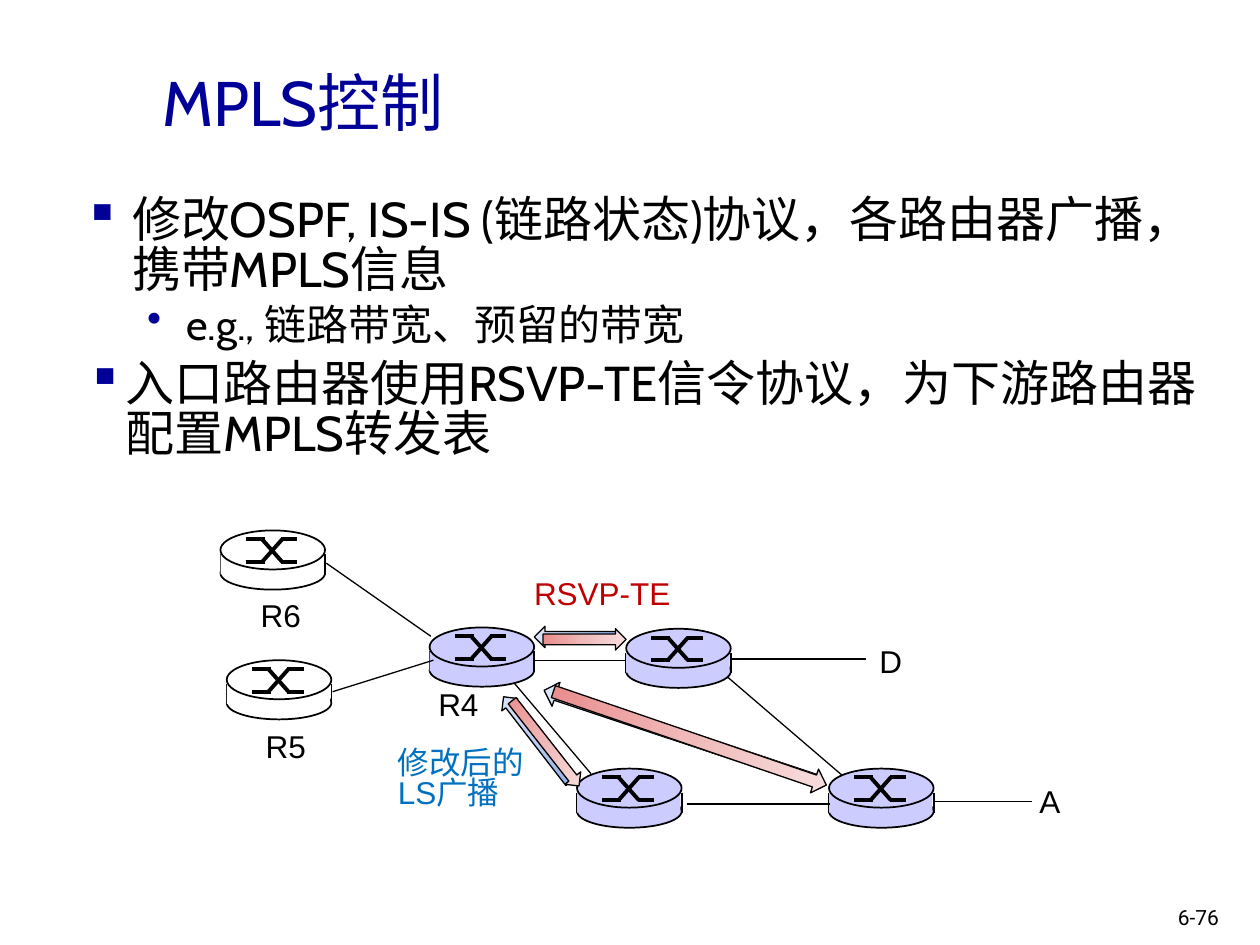
from copy import deepcopy

from pptx import Presentation
from pptx.dml.color import RGBColor
from pptx.enum.shapes import MSO_CONNECTOR, MSO_SHAPE
from pptx.enum.text import MSO_ANCHOR, MSO_AUTO_SIZE
from pptx.oxml.ns import qn
from pptx.util import Inches, Pt
from lxml import etree

STRAIGHT = MSO_CONNECTOR.STRAIGHT
OVAL, RECT, ARROW = MSO_SHAPE.OVAL, MSO_SHAPE.RECTANGLE, MSO_SHAPE.RIGHT_ARROW
TOP, MIDDLE = MSO_ANCHOR.TOP, MSO_ANCHOR.MIDDLE
FIT_SHAPE = MSO_AUTO_SIZE.SHAPE_TO_FIT_TEXT

NAVY, BLACK, WHITE, LILAC = "000099", "000000", "FFFFFF", "CCCCFF"
BLUE_FADE = ("8CADEA", "BACCF0", "DEE6F7")
RED_FADE = ("EA8C8C", "F0BABA", "F7DEDE")

ROUTERS = [  # left, top, colour
    (6.58, 6.1, LILAC), (4.58, 6.1, LILAC), (4.97, 4.99, LILAC),
    (3.41, 4.98, LILAC), (1.75, 4.21, WHITE), (1.8, 5.24, WHITE),
]
CROSS_LEFT, CROSS_RIGHT = (0.2, 0.35), (0.48, 0.61)
CROSS_MIDDLE = (0.33, 0.49)
CROSS_TOP, CROSS_BOTTOM = 0.07, 0.25
LINKS = [
    (2.59, 4.47, 3.42, 5.05), (2.64, 5.49, 3.44, 5.24),
    (4.24, 5.24, 4.97, 5.24), (4.08, 5.42, 4.69, 6.14),
    (5.45, 6.38, 6.59, 6.38), (5.77, 5.37, 6.68, 6.15),
    (7.42, 6.36, 8.19, 6.36), (5.81, 5.23, 6.87, 5.23),
]
NODE_LABELS = [
    ("D", 6.88, 5.05, 0.38), ("R4", 3.38, 5.39, 0.52), ("R5", 2.01, 5.72, 0.52),
    ("A", 8.15, 6.16, 0.37), ("R6", 1.97, 4.68, 0.52),
]
BROADCAST_ARROWS = [  # left, top, width, height, rotation
    (4.24, 4.97, 0.66, 0.17, 180), (3.83, 5.79, 0.86, 0.16, 232.3),
    (4.26, 5.74, 2.29, 0.2, 198.4),
]
RSVP_ARROWS = [
    (4.31, 4.99, 0.66, 0.17, 0), (3.9, 5.82, 0.86, 0.16, 51.9),
    (4.33, 5.76, 2.29, 0.2, 18.9),
]


def rgb(hex_colour):
    return RGBColor.from_string(hex_colour)


def add_line(shapes, x1, y1, x2, y2, weight):
    line = shapes.add_connector(STRAIGHT, *map(Inches, (x1, y1, x2, y2)))
    line.line.color.rgb = rgb(BLACK)
    line.line.width = Pt(weight)
    etree.SubElement(line._element.spPr, qn("a:effectLst"))


def add_solid(shapes, preset, box, colour, outlined=True):
    solid = shapes.add_shape(preset, *map(Inches, box))
    solid.shadow.inherit = False
    solid.fill.solid()
    solid.fill.fore_color.rgb = rgb(colour)
    if outlined:
        solid.line.color.rgb = rgb(BLACK)
        solid.line.width = Pt(1)
    else:
        solid.line.fill.background()


def add_router(slide, left, top, colour):
    """A flat cylinder with two crossing paths on its lid."""
    parts = slide.shapes.add_group_shape().shapes
    add_solid(parts, OVAL, (left, top + 0.21, 0.83, 0.26), colour)
    for side in (left, left + 0.83):
        add_line(parts, side, top + 0.19, side, top + 0.35, 1)
    add_solid(parts, RECT, (left, top + 0.19, 0.82, 0.16), colour, outlined=False)
    add_solid(parts, OVAL, (left, top, 0.83, 0.31), colour)
    for start, end in ((CROSS_TOP, CROSS_BOTTOM), (CROSS_BOTTOM, CROSS_TOP)):
        strokes = ((CROSS_LEFT, start, start), (CROSS_MIDDLE, start, end),
                   (CROSS_RIGHT, end, end))
        for (x1, x2), y1, y2 in strokes:
            add_line(parts, left + x1, top + y1, left + x2, top + y2, 2.25)


def add_signal_arrow(shapes, left, top, width, height, rotation, fade):
    arrow = shapes.add_shape(ARROW, *map(Inches, (left, top, width, height)))
    arrow.shadow.inherit = False
    arrow.rotation = rotation
    arrow.line.color.rgb = rgb(BLACK)
    arrow.line.width = Pt(0.75)
    arrow.fill.gradient()
    arrow.fill.gradient_angle = 0
    first_stop = arrow._element.spPr.find(".//" + qn("a:gs"))
    first_stop.addnext(deepcopy(first_stop))
    for stop, position, colour in zip(arrow.fill.gradient_stops, (0, 0.5, 1), fade):
        stop.position = position
        stop.color.rgb = rgb(colour)


def add_text_box(shapes, box, wrap=True, anchor=TOP):
    frame = shapes.add_textbox(*map(Inches, box)).text_frame
    settings = {"word_wrap": wrap, "vertical_anchor": anchor}
    if not wrap:
        settings["auto_size"] = FIT_SHAPE
    for name, value in settings.items():
        setattr(frame, name, value)
    return frame


def write(paragraph, text, size, font, colour, **spacing):
    for name, value in spacing.items():
        setattr(paragraph, name, value)
    run = paragraph.add_run()
    run.text = text
    for name, value in {"size": Pt(size), "name": font}.items():
        setattr(run.font, name, value)
    run.font.color.rgb = rgb(colour)


def add_bullet(paragraph, mark, margin, hanging):
    properties = paragraph._p.get_or_add_pPr()
    properties.set("marL", str(Inches(margin)))
    properties.set("indent", str(-Inches(hanging)))
    colour = etree.SubElement(properties, qn("a:buClr"))
    etree.SubElement(colour, qn("a:srgbClr"), val=NAVY)
    etree.SubElement(properties, qn("a:buChar"), char=mark)


def add_points(slide, box, points):
    """Each point is text, size, level, mark, margin and hanging indent."""
    frame = add_text_box(slide.shapes, box)
    for index, (text, size, level, mark, margin, hanging) in enumerate(points):
        paragraph = frame.add_paragraph() if index else frame.paragraphs[0]
        add_bullet(paragraph, mark, margin, hanging)
        spacing = {"level": level, "line_spacing": 0.85}
        if index:
            spacing["space_before"] = Pt(size * 0.2)
        write(paragraph, text, size, "Cabin", BLACK, **spacing)


def add_label(shapes, lines, box, colour=BLACK, **spacing):
    frame = add_text_box(shapes, box, wrap=False)
    for index, text in enumerate(lines):
        paragraph = frame.add_paragraph() if index else frame.paragraphs[0]
        write(paragraph, text, 18, "Arial", colour, **spacing)


def add_signalling(slide, arrows, fade, lines, box, colour):
    """A set of arrows with the caption that names them."""
    parts = slide.shapes.add_group_shape().shapes
    for arrow in arrows:
        add_signal_arrow(parts, *arrow, fade)
    add_label(parts, lines, box, colour, line_spacing=Pt(17))


def main():
    deck = Presentation()
    deck.slide_width, deck.slide_height = Inches(10), Inches(7.5)
    slide = deck.slides.add_slide(deck.slide_layouts[6])

    title = add_text_box(slide.shapes, (1.19, 0.18, 8.5, 1.25), anchor=MIDDLE)
    write(title.paragraphs[0], "MPLS控制", 36, "Cabin", NAVY)
    add_points(slide, (0.57, 1.52, 9.12, 1.48), [
        ("修改OSPF, IS-IS (链路状态)协议，各路由器广播，携带MPLS信息",
         28, 0, "▪", 0.38, 0.38),
        ("e.g., 链路带宽、预留的带宽", 24, 1, "•", 0.81, 0.31),
    ])
    add_points(slide, (0.59, 2.82, 9.12, 1.16), [
        ("入口路由器使用RSVP-TE信令协议，为下游路由器配置MPLS转发表",
         28, 0, "▪", 0.31, 0.31),
    ])

    for router in ROUTERS:
        add_router(slide, *router)
    for link in LINKS:
        add_line(slide.shapes, *link, 0.75)
    for name, left, top, width in NODE_LABELS:
        add_label(slide.shapes, [name], (left, top, width, 0.4))
    add_signalling(slide, BROADCAST_ARROWS, BLUE_FADE, ["修改后的", "LS广播"],
                   (3.06, 5.91, 1.21, 0.58), "0070C0")
    add_signalling(slide, RSVP_ARROWS, RED_FADE, ["RSVP-TE"],
                   (4.14, 4.57, 1.3, 0.34), "C00000")

    page_number = add_text_box(slide.shapes, (9.25, 7.13, 0.6, 0.3))
    write(page_number.paragraphs[0], "6-76", 12, "Roboto", BLACK)
    deck.save("out.pptx")


if __name__ == "__main__":
    main()
